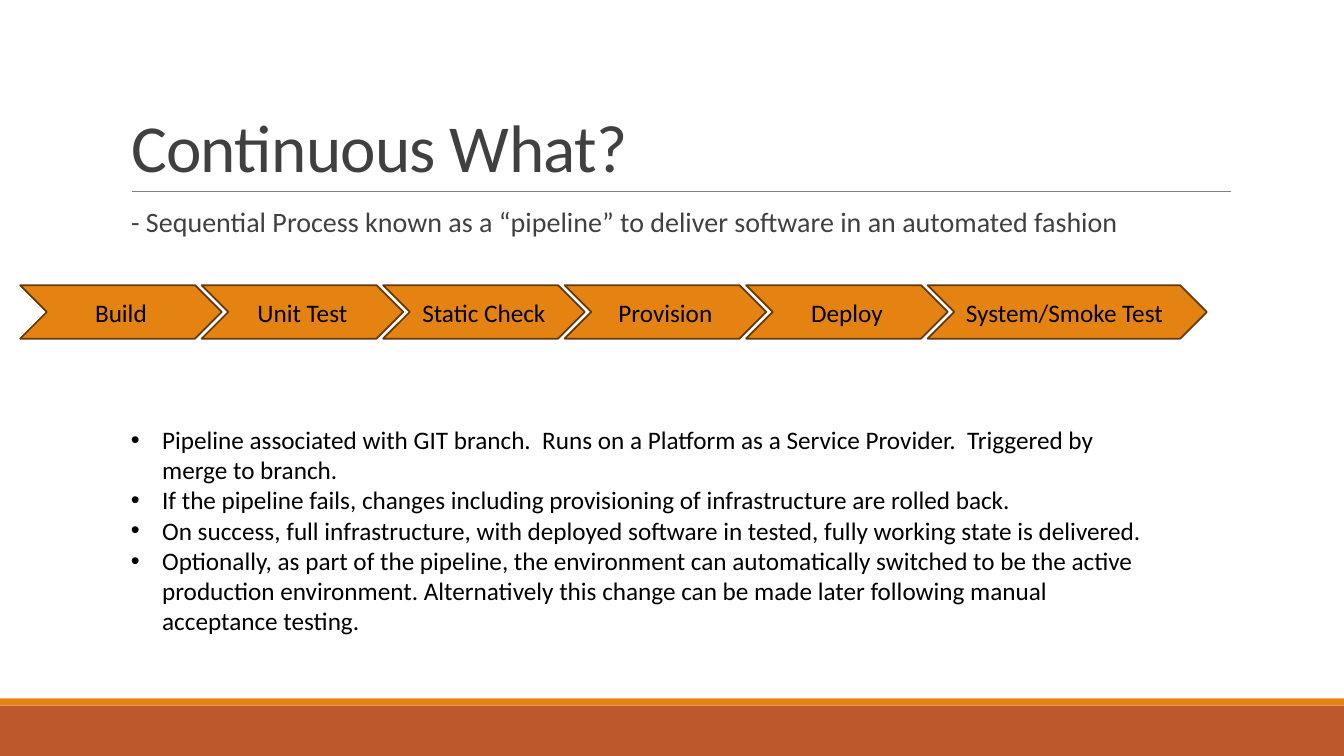
import pptx
import pptx.util
import pptx.dml.color
import pptx.enum.shapes
import pptx.enum.text
import pptx.oxml
import pptx.oxml.ns
import lxml.etree

Inches = pptx.util.Inches
Pt = pptx.util.Pt
SHAPES = pptx.enum.shapes.MSO_SHAPE
ALIGN = pptx.enum.text.PP_ALIGN
ANCHOR = pptx.enum.text.MSO_ANCHOR
AUTO_SIZE = pptx.enum.text.MSO_AUTO_SIZE

COLORS = {
    "orange": "E48312",
    "rust": "BD582C",
    "outline": "643908",
    "rule": "808080",
    "heading": "404040",
    "text": "000000",
}
STAGES = ["Build", "Unit Test", "Static Check", "Provision", "Deploy", "System/Smoke Test "]
NOTES = [
    "Pipeline associated with GIT branch.  Runs on a Platform as a Service Provider.  Triggered by merge to branch.",
    "If the pipeline fails, changes including provisioning of infrastructure are rolled back.",
    "On success, full infrastructure, with deployed software in tested, fully working state is delivered.",
    "Optionally, as part of the pipeline, the environment can automatically switched to be the active "
    "production environment. Alternatively this change can be made later following manual acceptance testing.",
]


class SlideBuilder:
    font = "Calibri"

    def __init__(self, slide):
        self.slide = slide

    def color(self, name):
        return pptx.dml.color.RGBColor.from_string(COLORS[name])

    def place(self, shape, left, top, width, height):
        shape.left, shape.top = Inches(left), Inches(top)
        shape.width, shape.height = Inches(width), Inches(height)

    def add_text(self, paragraph, text, size, color, align=ALIGN.LEFT):
        paragraph.alignment = align
        run = paragraph.add_run()
        run.text = text
        run.font.name = self.font
        run.font.size = Pt(size)
        run.font.color.rgb = self.color(color)
        return run

    def bullet(self, paragraph, character, indent, color):
        properties = paragraph._p.get_or_add_pPr()
        properties.set("marL", str(Inches(indent)))
        properties.set("indent", str(-Inches(indent)))
        bullet_color = lxml.etree.SubElement(properties, pptx.oxml.ns.qn("a:buClr"))
        lxml.etree.SubElement(bullet_color, pptx.oxml.ns.qn("a:srgbClr"), val=COLORS[color])
        lxml.etree.SubElement(properties, pptx.oxml.ns.qn("a:buFont"), typeface="Arial")
        lxml.etree.SubElement(properties, pptx.oxml.ns.qn("a:buChar"), char=character)

    def title(self, text, *box):
        shape = self.slide.shapes.title
        self.place(shape, *box)
        frame = shape.text_frame
        frame.auto_size = AUTO_SIZE.NONE
        frame.vertical_anchor = ANCHOR.BOTTOM
        paragraph = frame.paragraphs[0]
        paragraph.line_spacing = 0.85
        run = self.add_text(paragraph, text, 48, "heading")
        run.font._element.set("spc", "-50")

    def body(self, text, *box):
        shape = self.slide.placeholders[1]
        self.place(shape, *box)
        frame = shape.text_frame
        frame.auto_size = AUTO_SIZE.NONE
        frame.margin_left = frame.margin_right = 0
        paragraph = frame.paragraphs[0]
        paragraph.line_spacing = 0.9
        paragraph.space_before, paragraph.space_after = Pt(12), Pt(2)
        self.bullet(paragraph, " ", 0.1, "orange")
        self.add_text(paragraph, text, 20, "heading")

    def shape(self, kind, fill, left, top, width, height):
        shape = self.slide.shapes.add_shape(
            kind, Inches(left), Inches(top), Inches(width), Inches(height))
        shape.shadow.inherit = False
        shape.fill.solid()
        shape.fill.fore_color.rgb = self.color(fill)
        shape.line.fill.background()
        return shape

    def chevron(self, text, *box):
        shape = self.shape(SHAPES.CHEVRON, "orange", *box)
        shape.line.color.rgb = self.color("outline")
        shape.line.width = Pt(1.25)
        frame = shape.text_frame
        frame.vertical_anchor = ANCHOR.MIDDLE
        self.add_text(frame.paragraphs[0], text, 18, "text", ALIGN.CENTER)

    def rule(self, left, right, top):
        connector = self.slide.shapes.add_connector(
            pptx.enum.shapes.MSO_CONNECTOR.STRAIGHT,
            Inches(left), Inches(top), Inches(right), Inches(top))
        connector.line.color.rgb = self.color("rule")
        connector.line.width = Pt(0.5)
        lxml.etree.SubElement(connector._element.spPr, pptx.oxml.ns.qn("a:effectLst"))

    def bullet_list(self, items, left, top, width, height):
        shape = self.slide.shapes.add_textbox(
            Inches(left), Inches(top), Inches(width), Inches(height))
        frame = shape.text_frame
        frame.word_wrap = True
        frame.auto_size = AUTO_SIZE.SHAPE_TO_FIT_TEXT
        for index, item in enumerate(items):
            paragraph = frame.add_paragraph() if index else frame.paragraphs[0]
            self.bullet(paragraph, "•", 0.31, "text")
            self.add_text(paragraph, item, 18, "text")


def main():
    presentation = pptx.Presentation()
    presentation.slide_width = Inches(13.33)
    presentation.slide_height = Inches(7.5)
    builder = SlideBuilder(presentation.slides.add_slide(presentation.slide_layouts[1]))

    builder.shape(SHAPES.RECTANGLE, "rust", 0, 7, 13.33, 0.5)
    builder.shape(SHAPES.RECTANGLE, "orange", 0, 6.93, 13.33, 0.07)
    builder.rule(1.31, 12.21, 1.9)
    builder.title("Continuous What?", 1.2, 0.31, 11, 1.59)
    builder.body("- Sequential Process known as a “pipeline” to deliver software in an automated fashion",
                 1.2, 2.02, 11, 4.4)
    for index, stage in enumerate(STAGES):
        width = 2.77 if index == len(STAGES) - 1 else 2
        builder.chevron(stage, 0.2 + 1.8 * index, 2.83, width, 0.53)
    builder.bullet_list(NOTES, 1.2, 4.16, 10.25, 4.04)

    presentation.save("out.pptx")


if __name__ == "__main__":
    main()
